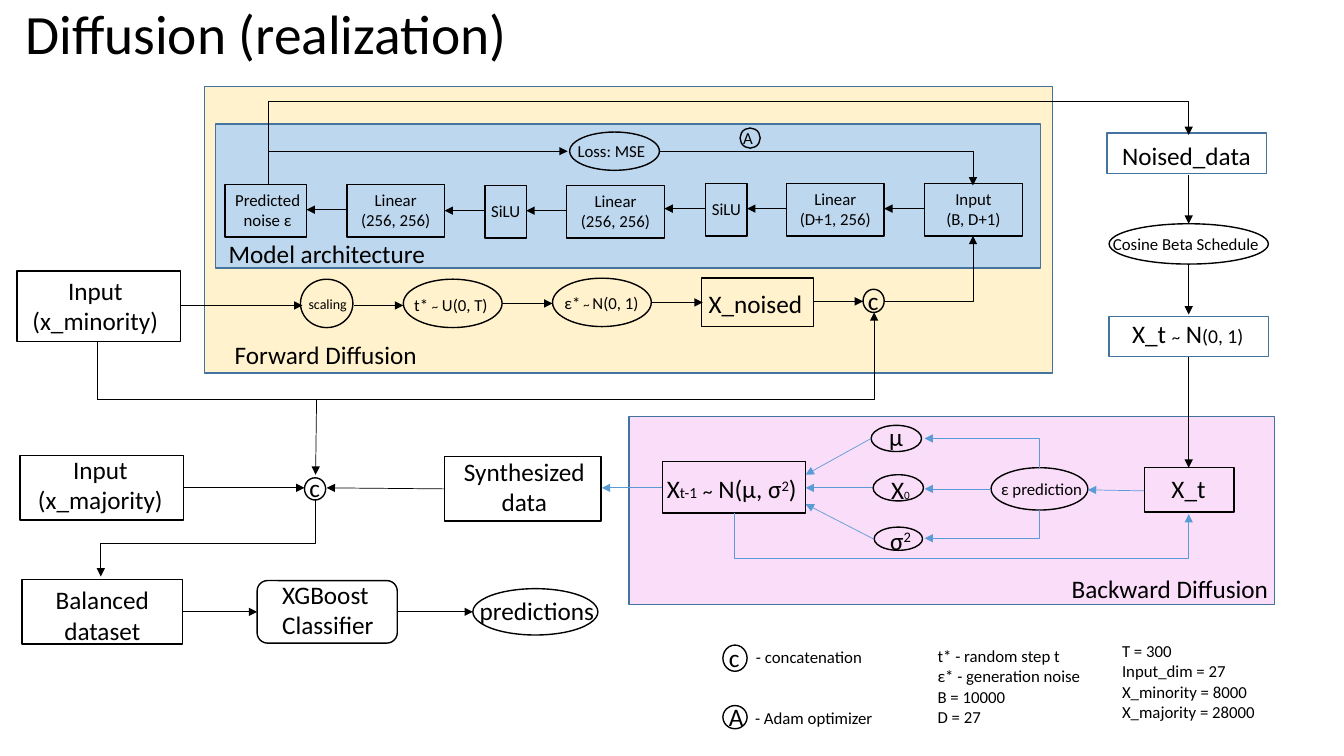
from dataclasses import dataclass
from itertools import pairwise
from typing import Optional

from lxml.etree import SubElement
from pptx import Presentation
from pptx.dml.color import RGBColor
from pptx.enum.shapes import MSO_CONNECTOR, MSO_SHAPE
from pptx.enum.text import MSO_ANCHOR, MSO_AUTO_SIZE, PP_ALIGN
from pptx.oxml.ns import qn
from pptx.util import Inches, Pt

COLORS = {"black": "000000", "white": "FFFFFF", "border": "43739E", "arrow": "5B9BD5",
          "pink": "FADEF9", "cream": "FFF2CC", "sky": "BDD7EE"}
RECT, OVAL, ROUND = MSO_SHAPE.RECTANGLE, MSO_SHAPE.OVAL, MSO_SHAPE.ROUNDED_RECTANGLE
Area = tuple[float, float, float, float]
Point = tuple[float, float]


@dataclass
class Piece:
    text: str
    size: Optional[float] = None
    raised: bool = False


@dataclass
class Label:
    area: Area
    lines: list[str | list[Piece]]
    size: float = 18
    centered: bool = False


@dataclass
class Node:
    preset: MSO_SHAPE
    area: Area
    label: Optional[Label] = None
    fill: Optional[str] = None
    line: str = "black"


@dataclass
class Arrow:
    start: Point
    end: Point
    color: str = "black"
    route: str = "straight"
    bend: Optional[float] = None
    head: bool = True


def layer(left: float, top: float, width: float, *lines: str) -> Node:
    label_width = max(width, 0.78)
    label_height = 0.1 + 0.2 * len(lines)
    label_top = top + (0.5 - label_height) / 2
    area = (left + (width - label_width) / 2, label_top, label_width, label_height)
    return Node(RECT, (left, top, width, 0.52), Label(area, list(lines), 12, True))


PANELS = [
    Node(RECT, (6.24, 4.13, 6.4, 1.87), Label((10.53, 5.64, 2.51, 0.4), ["Backward Diffusion"]),
         "pink", "border"),
    Node(RECT, (2.03, 0.86, 8.41, 2.84), Label((2.23, 3.32, 2.06, 0.4), ["Forward Diffusion"]),
         "cream", "border"),
    Node(RECT, (2.14, 1.23, 8.18, 1.43), Label((2.17, 2.32, 2.37, 0.4), ["Model architecture"]),
         "sky", "border"),
]
LAYERS = [
    layer(9.17, 1.82, 0.97, "Input", "(B, D+1)"),
    layer(7.8, 1.82, 0.97, "Linear", "(D+1, 256)"),
    layer(7, 1.82, 0.41, "SiLU"),
    layer(5.62, 1.84, 0.97, "Linear", "(256, 256)"),
    layer(4.81, 1.84, 0.41, "SiLU"),
    layer(3.44, 1.83, 0.97, "Linear", "(256, 256)"),
    Node(RECT, (2.23, 1.83, 0.81, 0.52),
         Label((2.22, 1.83, 0.87, 0.5), ["Predicted", "noise ε"], 12, True)),
]
NODES = [
    Node(RECT, (0.17, 2.69, 1.62, 0.7),
         Label((0.22, 2.68, 1.45, 0.71), ["Input (x_minority)"], 18, True), "white"),
    Node(OVAL, (2.98, 2.77, 0.52, 0.48), Label((2.55, 2.88, 1.4, 0.27), ["scaling"], 10, True)),
    Node(OVAL, (4, 2.77, 0.98, 0.48),
         Label((4.01, 2.87, 1.4, 0.3), [[Piece("t* "), Piece("~", 9), Piece(" U(0, T)")]], 12)),
    Node(OVAL, (5.48, 2.76, 0.98, 0.48),
         Label((5.5, 2.86, 1.44, 0.3), [[Piece("ε*"), Piece(" ~ ", 9), Piece("N(0, 1)")]], 12)),
    Node(RECT, (6.96, 2.76, 1.11, 0.48), Label((6.93, 2.81, 1.14, 0.4), ["X_noised"])),
    Node(OVAL, (8.56, 2.87, 0.21, 0.23), Label((8.51, 2.78, 0.41, 0.4), ["c"])),
    Node(OVAL, (5.65, 1.31, 0.89, 0.38), Label((5.63, 1.35, 1.3, 0.3), ["Loss: MSE"], 12)),
    Node(OVAL, (7.34, 1.27, 0.2, 0.2), Label((7.3, 1.22, 0.17, 0.3), ["A"], 12)),
    Node(RECT, (10.98, 1.32, 1.58, 0.4), Label((11.03, 1.34, 1.52, 0.4), ["Noised_data"]),
         line="border"),
    Node(OVAL, (11, 2.22, 1.58, 0.4),
         Label((10.94, 2.27, 1.71, 0.3), ["Cosine Beta Schedule"], 12)),
    Node(RECT, (11, 3.14, 1.58, 0.4),
         Label((11.13, 3.11, 1.52, 0.4),
               [[Piece("X_t "), Piece("~", 12), Piece(" N"), Piece("(0, 1)", 14)]]),
         line="border"),
    Node(RECT, (11.35, 4.64, 0.89, 0.44), Label((11.52, 4.65, 0.55, 0.4), ["X_t"])),
    Node(OVAL, (9.83, 4.64, 0.96, 0.42), Label((9.83, 4.7, 1.02, 0.3), ["ε prediction"], 12)),
    Node(OVAL, (8.64, 4.22, 0.5, 0.26), Label((8.72, 4.13, 0.44, 0.4), ["μ"])),
    Node(OVAL, (8.66, 4.71, 0.5, 0.26),
         Label((8.74, 4.66, 0.44, 0.4), [[Piece("X"), Piece("0", 8)]])),
    Node(OVAL, (8.67, 5.23, 0.48, 0.23),
         Label((8.73, 5.16, 0.42, 0.4), [[Piece("σ"), Piece("2", raised=True)]])),
    Node(RECT, (6.57, 4.58, 1.42, 0.51),
         Label((6.43, 4.65, 1.71, 0.4),
               [[Piece("X"), Piece("t-1", 11), Piece(" "), Piece("~", 14), Piece(" N(μ, σ"),
                 Piece("2", raised=True), Piece(") ")]], 18, True)),
    Node(RECT, (4.41, 4.53, 1.55, 0.64),
         Label((4.46, 4.48, 1.48, 0.71), ["Synthesized data"], 18, True)),
    Node(RECT, (0.2, 4.52, 1.62, 0.64),
         Label((0.27, 4.46, 1.45, 0.71), ["Input (x_majority)"], 18, True), "white"),
    Node(OVAL, (3.02, 4.74, 0.21, 0.22), Label((2.97, 4.64, 0.33, 0.4), ["c"])),
    Node(RECT, (0.22, 5.75, 1.59, 0.64),
         Label((0.41, 5.75, 1.21, 0.71), ["Balanced dataset"], 18, True)),
    Node(ROUND, (2.55, 5.76, 1.39, 0.62), Label((2.7, 5.7, 1.26, 0.71), ["XGBoost Classifier"])),
    Node(OVAL, (4.69, 5.84, 1.24, 0.46), Label((4.66, 5.86, 1.34, 0.4), ["predictions"])),
    Node(OVAL, (7.17, 6.4, 0.24, 0.26), Label((7.13, 6.32, 0.21, 0.4), ["c"])),
    Node(OVAL, (7.17, 7, 0.24, 0.23), Label((7.13, 6.91, 0.28, 0.4), ["A"])),
]
LEGEND = [
    Label((7.4, 6.37, 1.3, 0.3), ["- concatenation"], 12),
    Label((7.39, 6.97, 1.4, 0.3), ["- Adam optimizer"], 12),
    Label((9.2, 6.36, 1.78, 0.91),
          ["t* - random step t", "ε* - generation noise", "B = 10000", "D = 27"], 12),
    Label((11.03, 6.31, 1.61, 1.11),
          ["T = 300", "Input_dim = 27", "X_minority = 8000", "X_majority = 28000"], 12),
]
ARROWS = [
    Arrow((1.79, 3.03), (3, 3.03)), Arrow((3.51, 3.03), (4, 3.03)),
    Arrow((4.99, 3.01), (5.48, 3.01)), Arrow((6.47, 3), (6.97, 3)),
    Arrow((8.07, 2.99), (8.56, 2.99)), Arrow((0.97, 3.39), (0.97, 3.97), head=False),
    Arrow((0.97, 3.96), (8.67, 3.1), route="across"),
    Arrow((8.77, 2.99), (9.65, 2.34), route="across"),
    Arrow((2.66, 1.83), (5.63, 1.5), route="upright"),
    Arrow((6.54, 1.5), (9.65, 1.84), route="across"),
    Arrow((2.66, 1.5), (2.66, 1.01), head=False),
    Arrow((2.66, 1.01), (11.79, 1.34), route="across"),
    Arrow((11.79, 1.74), (11.79, 2.22)), Arrow((11.79, 2.63), (11.79, 3.12)),
    Arrow((11.79, 3.54), (11.79, 4.64)), Arrow((11.35, 4.87), (10.79, 4.86), "arrow"),
    Arrow((10.31, 4.64), (9.17, 4.35), "arrow", "upright"),
    Arrow((10.31, 5.06), (9.17, 5.34), "arrow", "upright"),
    Arrow((9.83, 4.85), (9.17, 4.85), "arrow"), Arrow((8.65, 4.84), (7.99, 4.84), "arrow"),
    Arrow((8.64, 4.35), (7.99, 4.71), "arrow"), Arrow((8.67, 5.35), (7.99, 5), "arrow"),
    Arrow((6.57, 4.84), (5.97, 4.84), "arrow"),
    Arrow((7.28, 5.09), (11.79, 5.1), "arrow", "upright", 46),
    Arrow((3.14, 3.97), (3.13, 4.71)), Arrow((1.82, 4.84), (3.02, 4.84)),
    Arrow((4.41, 4.85), (3.24, 4.84)), Arrow((3.13, 4.95), (1, 5.72), "black", "upright", 0.57),
    Arrow((1.81, 6.07), (2.55, 6.07)), Arrow((3.95, 6.07), (4.69, 6.07)),
]


def color_of(name: str) -> RGBColor:
    return RGBColor.from_string(COLORS[name])


def write_text(frame, lines, *, size: float, alignment=PP_ALIGN.LEFT, spacing: float = 1.0) -> None:
    frame.word_wrap = True
    for index, line in enumerate(lines):
        paragraph = frame.add_paragraph() if index else frame.paragraphs[0]
        paragraph.alignment, paragraph.line_spacing = alignment, spacing
        for piece in [Piece(line)] if isinstance(line, str) else line:
            run = paragraph.add_run()
            run.text = piece.text
            run.font.name, run.font.size = "Calibri", Pt(piece.size or size)
            run.font.color.rgb = color_of("black")
            if piece.raised:
                run._r.get_or_add_rPr().set("baseline", "30000")


def draw_label(slide, label: Label) -> None:
    frame = slide.shapes.add_textbox(*map(Inches, label.area)).text_frame
    write_text(frame, label.lines, size=label.size,
               alignment=PP_ALIGN.CENTER if label.centered else PP_ALIGN.LEFT)
    frame.auto_size = MSO_AUTO_SIZE.SHAPE_TO_FIT_TEXT


def draw_node(slide, node: Node) -> None:
    shape = slide.shapes.add_shape(node.preset, *map(Inches, node.area))
    shape.shadow.inherit = False
    shape.line.color.rgb, shape.line.width = color_of(node.line), Pt(1)
    if node.fill:
        shape.fill.solid()
        shape.fill.fore_color.rgb = color_of(node.fill)
    else:
        shape.fill.background()
    if node.label:
        draw_label(slide, node.label)


def draw_arrow(slide, arrow: Arrow) -> None:
    (x1, y1), (x2, y2) = arrow.start, arrow.end
    kind = MSO_CONNECTOR.STRAIGHT if arrow.route == "straight" else MSO_CONNECTOR.ELBOW
    upright = arrow.route == "upright"
    if upright:
        middle_x, middle_y = (x1 + x2) / 2, (y1 + y2) / 2
        half_width, half_height = abs(y2 - y1) / 2, abs(x2 - x1) / 2
        ends = (middle_x - half_width, middle_y - half_height,
                middle_x + half_width, middle_y + half_height)
    else:
        ends = (x1, y1, x2, y2)
    connector = slide.shapes.add_connector(kind, *map(Inches, ends))
    connector.line.color.rgb, connector.line.width = color_of(arrow.color), Pt(0.5)
    properties = connector._element.spPr
    if upright:
        frame = properties.find(qn("a:xfrm"))
        frame.set("rot", str((90 if y2 > y1 else 270) * 60000))
        if (x2 > x1) == (y2 > y1):
            frame.set("flipV", "1")
    geometry = properties.find(qn("a:prstGeom"))
    if arrow.bend is not None:
        guide = SubElement(geometry.find(qn("a:avLst")), qn("a:gd"))
        guide.set("name", "adj1")
        guide.set("fmla", f"val {round(arrow.bend * 100000)}")
    elif kind == MSO_CONNECTOR.ELBOW:
        geometry.set("prst", "bentConnector2")
    if arrow.head:
        SubElement(properties.find(qn("a:ln")), qn("a:tailEnd")).set("type", "triangle")
    SubElement(properties, qn("a:effectLst"))


def main() -> None:
    presentation = Presentation()
    presentation.slide_width, presentation.slide_height = Inches(13.33), Inches(7.5)
    slide = presentation.slides.add_slide(presentation.slide_layouts[5])
    title = slide.shapes.title
    title.left, title.top, title.width, title.height = map(Inches, (0.15, 0.11, 5.21, 0.5))
    title.text_frame.vertical_anchor = MSO_ANCHOR.MIDDLE
    title.text_frame.auto_size = MSO_AUTO_SIZE.NONE
    write_text(title.text_frame, ["Diffusion (realization)"], size=39.6, spacing=0.9)
    for node in PANELS + LAYERS + NODES:
        draw_node(slide, node)
    for label in LEGEND:
        draw_label(slide, label)
    flow = [Arrow((source.area[0], source.area[1] + 0.25),
                  (target.area[0] + target.area[2], source.area[1] + 0.25))
            for source, target in pairwise(LAYERS)]
    for arrow in flow + ARROWS:
        draw_arrow(slide, arrow)
    presentation.save("out.pptx")


if __name__ == "__main__":
    main()
